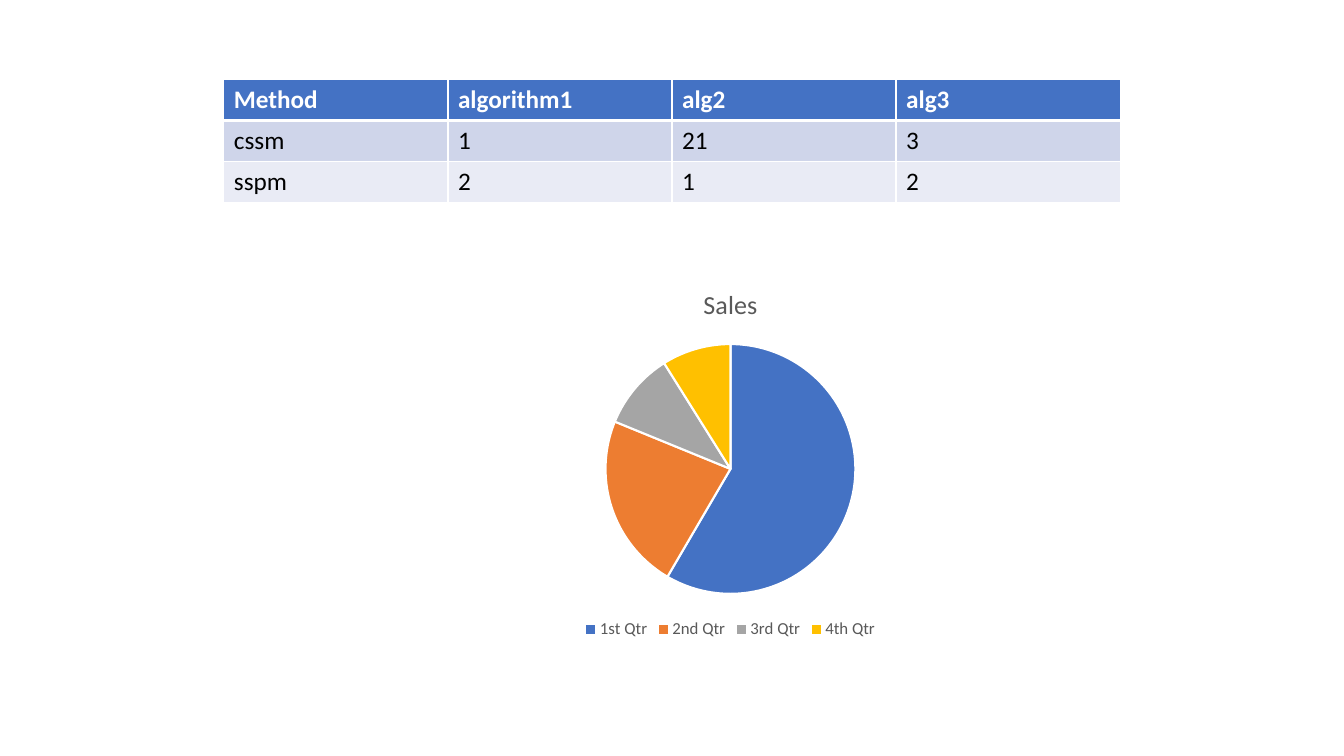
from lxml.etree import SubElement
from pptx import Presentation
from pptx.chart.data import CategoryChartData
from pptx.dml.color import RGBColor
from pptx.enum.chart import XL_CHART_TYPE, XL_LEGEND_POSITION
from pptx.oxml.ns import qn
from pptx.util import Inches, Pt

FONT = "Calibri"
WHITE = RGBColor(0xFF, 0xFF, 0xFF)
BLACK = RGBColor(0x00, 0x00, 0x00)
GREY_TEXT = RGBColor(0x59, 0x59, 0x59)
BLUE = RGBColor(0x44, 0x72, 0xC4)
ORANGE = RGBColor(0xED, 0x7D, 0x31)
GREY = RGBColor(0xA5, 0xA5, 0xA5)
GOLD = RGBColor(0xFF, 0xC0, 0x00)
BAND_DARK = RGBColor(0xCF, 0xD5, 0xEA)
BAND_LIGHT = RGBColor(0xE9, 0xEB, 0xF5)

METHOD_ROWS = [
    ("Method", "algorithm1", "alg2", "alg3"),
    ("cssm", "1", "21", "3"),
    ("sspm", "2", "1", "2"),
]
ROW_FILLS = [BLUE, BAND_DARK, BAND_LIGHT]
QUARTER_SALES = [
    ("1st Qtr", 59, BLUE),
    ("2nd Qtr", 23, ORANGE),
    ("3rd Qtr", 10, GREY),
    ("4th Qtr", 9, GOLD),
]


def format_font(font, size, color, bold=False):
    font.name = FONT
    font.size = Pt(size)
    font.bold = bold
    font.color.rgb = color


def write_text(text_frame, text, size=18, color=BLACK, bold=False):
    run = text_frame.paragraphs[0].add_run()
    run.text = text
    format_font(run.font, size, color, bold)


def set_borders(cell, color, **widths):
    """Draw the sides lnL, lnR, lnT and lnB, each given its width in points.

    Call before filling the cell: the lines must precede the fill.
    """
    properties = cell._tc.get_or_add_tcPr()
    for side, width in widths.items():
        line = SubElement(properties, qn(f"a:{side}"), w=str(Pt(width)))
        fill = SubElement(line, qn("a:solidFill"))
        SubElement(fill, qn("a:srgbClr"), val=str(color))


def add_method_table(slide, left, top, width, height):
    row_count, column_count = len(METHOD_ROWS), len(METHOD_ROWS[0])
    table = slide.shapes.add_table(
        row_count, column_count,
        Inches(left), Inches(top), Inches(width), Inches(height),
    ).table
    for row_index, (texts, fill_color) in enumerate(zip(METHOD_ROWS, ROW_FILLS)):
        is_header = row_index == 0
        for column_index, text in enumerate(texts):
            cell = table.cell(row_index, column_index)
            set_borders(cell, WHITE, lnL=1, lnR=1,
                        lnT=3 if row_index == 1 else 1,
                        lnB=3 if is_header else 1)
            cell.fill.solid()
            cell.fill.fore_color.rgb = fill_color
            write_text(cell.text_frame, text,
                       color=WHITE if is_header else BLACK, bold=is_header)


def add_sales_pie(slide, left, top, width, height):
    data = CategoryChartData()
    data.categories = [quarter for quarter, _, _ in QUARTER_SALES]
    data.add_series("Sales", [value for _, value, _ in QUARTER_SALES])
    chart = slide.shapes.add_chart(
        XL_CHART_TYPE.PIE,
        Inches(left), Inches(top), Inches(width), Inches(height), data,
    ).chart
    format_font(chart.font, 10, BLACK)

    chart.has_title = True
    write_text(chart.chart_title.text_frame, "Sales", size=18.6, color=GREY_TEXT)
    chart.chart_title.include_in_layout = False

    chart.has_legend = True
    chart.legend.position = XL_LEGEND_POSITION.BOTTOM
    chart.legend.include_in_layout = False
    format_font(chart.legend.font, 12, GREY_TEXT)

    plot = chart.plots[0]
    plot.vary_by_categories = True
    for index, (_, _, color) in enumerate(QUARTER_SALES):
        slice_format = plot.series[0].points[index].format
        slice_format.fill.solid()
        slice_format.fill.fore_color.rgb = color
        slice_format.line.color.rgb = WHITE
        slice_format.line.width = Pt(1.5)


def main():
    presentation = Presentation()
    presentation.slide_width = Inches(13.33)
    presentation.slide_height = Inches(7.5)
    blank_layout = presentation.slide_layouts[6]
    slide = presentation.slides.add_slide(blank_layout)
    add_method_table(slide, 2.22, 0.79, 8.89, 1.22)
    add_sales_pie(slide, 3.59, 2.67, 7.31, 3.71)
    presentation.save("out.pptx")


if __name__ == "__main__":
    main()
